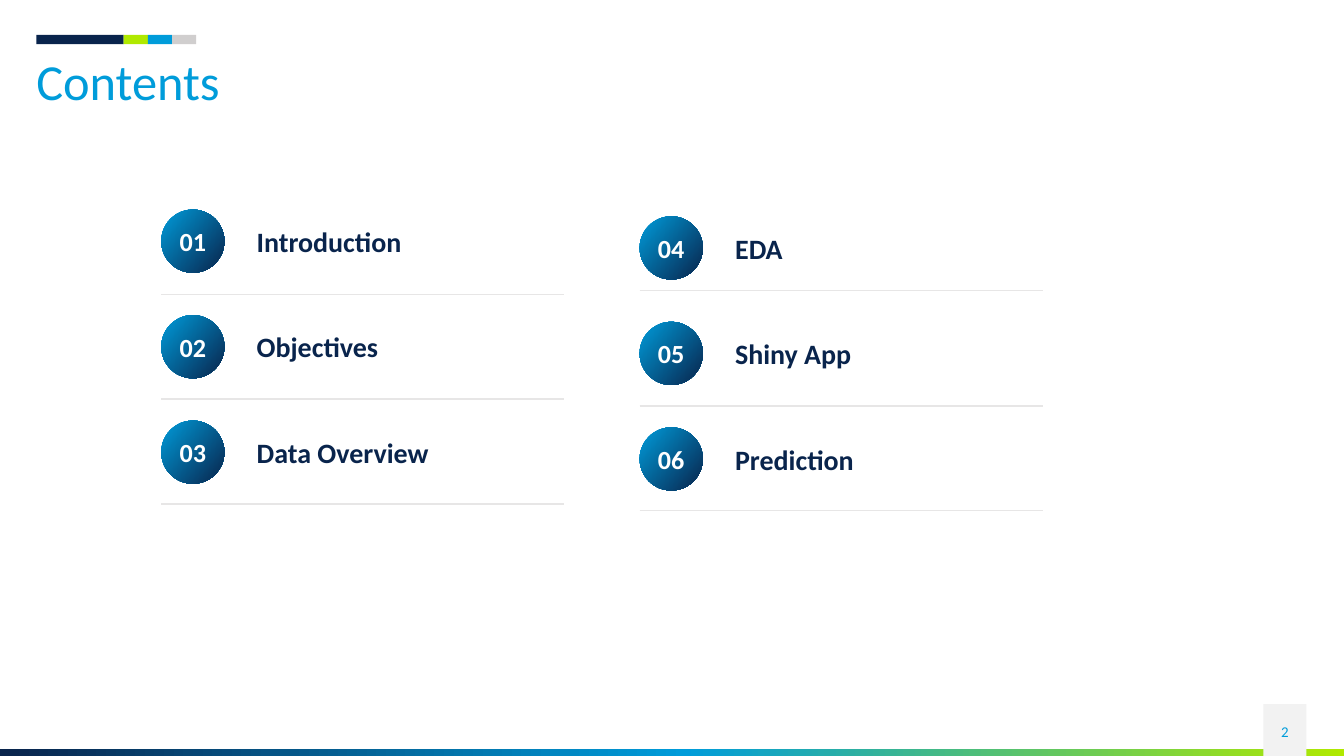
from dataclasses import dataclass

from lxml.etree import SubElement
from pptx import Presentation
from pptx.dml.color import RGBColor
from pptx.enum.shapes import MSO_CONNECTOR as Connector, MSO_SHAPE as Preset
from pptx.enum.text import MSO_ANCHOR as Anchor, PP_ALIGN as Align
from pptx.oxml.ns import qn
from pptx.shapes.autoshape import Shape
from pptx.text.text import TextFrame
from pptx.util import Inches, Pt


@dataclass(frozen=True)
class Theme:
    font: str = "Calibri"
    navy: str = "09244C"
    blue: str = "009CDA"
    lime: str = "B0E900"
    silver: str = "D0CECE"
    rule: str = "E7E6E6"
    panel: str = "F2F2F2"
    white: str = "FFFFFF"
    title_size: float = 27
    topic_size: float = 15
    number_size: float = 14
    page_size: float = 8
    rule_width: float = 0.75


@dataclass(frozen=True)
class Box:
    left: float
    top: float
    width: float
    height: float

    def lengths(self) -> tuple[Inches, ...]:
        return tuple(Inches(n) for n in (self.left, self.top, self.width, self.height))


@dataclass(frozen=True)
class Column:
    left: float
    top: float
    first_number: int
    topics: tuple[str, ...]
    rule_tops: tuple[float, ...]


@dataclass(frozen=True)
class Stripe:
    left: float
    width: float
    color: str


THEME = Theme()
SLIDE_WIDTH = 10
SLIDE_HEIGHT = SLIDE_WIDTH * 9 / 16
FOOTER_HEIGHT = 0.05
NO_INSETS = (0, 0)
TEXT_INSETS = (0.07, 0.04)
BADGE_SIZE = 0.47
ROW_PITCH = 1.57 / 2
RULE_LENGTH = 3
STRIPES = (
    Stripe(0.27, 0.65, THEME.navy),
    Stripe(0.92, 0.18, THEME.lime),
    Stripe(1.1, 0.18, THEME.blue),
    Stripe(1.28, 0.18, THEME.silver),
)
COLUMNS = (
    Column(1.2, 1.56, 1, ("Introduction", "Objectives", "Data Overview"), (2.19, 2.97, 3.75)),
    Column(4.76, 1.61, 4, ("EDA", "Shiny App", "Prediction"), (2.16, 3.02, 3.8)),
)

presentation = Presentation()
presentation.slide_width = Inches(SLIDE_WIDTH)
presentation.slide_height = Inches(SLIDE_HEIGHT)
slide = presentation.slides.add_slide(presentation.slide_layouts[6])


def add_shape(preset: Preset, box: Box) -> Shape:
    shape = slide.shapes.add_shape(preset, *box.lengths())
    shape.shadow.inherit = False
    shape.line.fill.background()
    return shape


def add_block(box: Box, color: str) -> None:
    shape = add_shape(Preset.RECTANGLE, box)
    shape.fill.solid()
    shape.fill.fore_color.rgb = RGBColor.from_string(color)


def fill_gradient(shape: Shape, stops: dict[int, str], angle: int) -> None:
    shape.fill.gradient()
    shape.fill.gradient_angle = (360 - angle) % 360
    stop_list = shape._element.spPr.find(qn("a:gradFill")).find(qn("a:gsLst"))
    for stop in list(stop_list):
        stop_list.remove(stop)
    for percent, color in stops.items():
        stop = SubElement(stop_list, qn("a:gs"), pos=str(percent * 1000))
        SubElement(stop, qn("a:srgbClr"), val=color)


def write_text(frame: TextFrame, text: str, size: float, color: str, bold: bool = False,
               align: Align = Align.LEFT, anchor: Anchor = Anchor.TOP,
               insets: tuple[float, float] = TEXT_INSETS, spacing: float = 1.0) -> None:
    frame.word_wrap = True
    frame.vertical_anchor = anchor
    frame.margin_left = frame.margin_right = Inches(insets[0])
    frame.margin_top = frame.margin_bottom = Inches(insets[1])
    paragraph = frame.paragraphs[0]
    paragraph.alignment = align
    paragraph.line_spacing = spacing
    run = paragraph.add_run()
    run.text = text
    run.font.name = THEME.font
    run.font.size = Pt(size)
    run.font.bold = bold
    run.font.color.rgb = RGBColor.from_string(color)


def add_text_frame(box: Box) -> TextFrame:
    return slide.shapes.add_textbox(*box.lengths()).text_frame


def add_rule(left: float, top: float) -> None:
    rule = slide.shapes.add_connector(
        Connector.STRAIGHT, Inches(left), Inches(top), Inches(left + RULE_LENGTH), Inches(top))
    rule.line.color.rgb = RGBColor.from_string(THEME.rule)
    rule.line.width = Pt(THEME.rule_width)
    SubElement(rule._element.spPr, qn("a:effectLst"))


def add_topic(left: float, top: float, number: int, topic: str) -> None:
    badge = add_shape(Preset.OVAL, Box(left, top, BADGE_SIZE, BADGE_SIZE))
    fill_gradient(badge, {0: THEME.blue, 100: THEME.navy}, 40)
    write_text(badge.text_frame, f"{number:02}", THEME.number_size, THEME.white, True,
               Align.CENTER, Anchor.MIDDLE, NO_INSETS)
    write_text(add_text_frame(Box(left + 0.64, top + 0.07, 3.4, 0.33)), topic,
               THEME.topic_size, THEME.navy, True)


def add_column(column: Column) -> None:
    for row, (topic, rule_top) in enumerate(zip(column.topics, column.rule_tops)):
        add_topic(column.left, column.top + row * ROW_PITCH, column.first_number + row, topic)
        add_rule(column.left, rule_top)


footer = add_shape(
    Preset.RECTANGLE, Box(0, SLIDE_HEIGHT - FOOTER_HEIGHT, SLIDE_WIDTH, FOOTER_HEIGHT))
fill_gradient(footer, {0: THEME.navy, 51: THEME.blue, 100: THEME.lime}, 0)
add_block(Box(9.4, 5.24, 0.32, SLIDE_HEIGHT - 5.24), THEME.panel)
for stripe in STRIPES:
    add_block(Box(stripe.left, 0.26, stripe.width, 0.07), stripe.color)

write_text(add_text_frame(Box(0.27, 0.42, 9.45, 0.41)), "Contents", THEME.title_size,
           THEME.blue, insets=NO_INSETS, spacing=0.9)
for column in COLUMNS:
    add_column(column)
write_text(add_text_frame(Box(9.4, 5.29, 0.32, 0.3)), "2", THEME.page_size, THEME.blue,
           align=Align.CENTER, anchor=Anchor.MIDDLE)

presentation.save("out.pptx")
